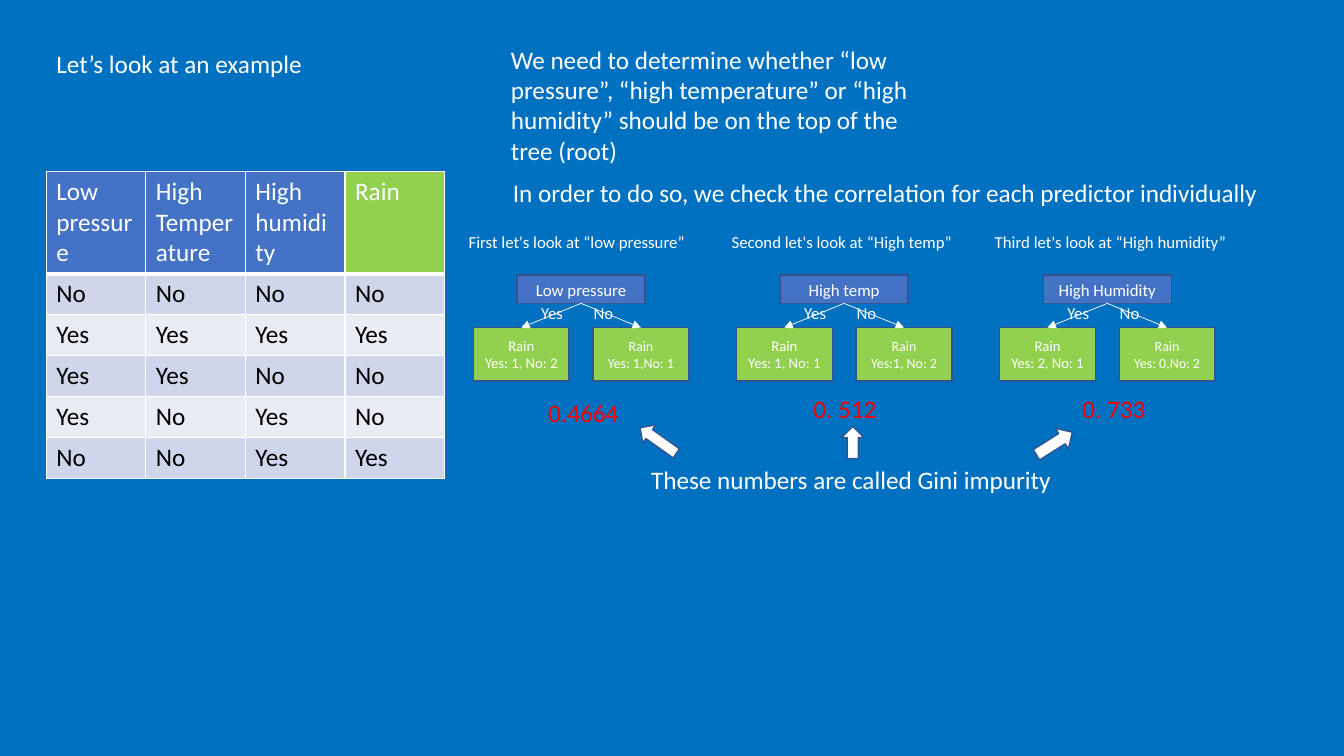
from dataclasses import dataclass
from typing import Any, NamedTuple

import pptx
import pptx.dml.color
import pptx.enum.shapes
import pptx.enum.text
import pptx.oxml
import pptx.oxml.ns
import pptx.util

Pt = pptx.util.Pt
RGB = pptx.dml.color.RGBColor.from_string
SHAPE = pptx.enum.shapes.MSO_SHAPE
ALIGN = pptx.enum.text.PP_ALIGN
ANCHOR = pptx.enum.text.MSO_ANCHOR

COLUMNS, ROWS = 40, 22.5
SLIDE_W, SLIDE_H = pptx.util.Inches(13.333), pptx.util.Inches(7.5)


@dataclass(frozen=True)
class Theme:
    font: str = "Calibri"
    back: str = "0070C0"
    white: str = "FFFFFF"
    black: str = "000000"
    red: str = "FF0000"
    node: str = "4472C4"
    leaf: str = "92D050"
    outline: str = "325491"
    bands: tuple[str, str] = ("CFD5EA", "E9EBF5")
    body: float = 18
    label: float = 12
    yes_leaf: float = 10.5
    no_leaf: float = 10


class Box(NamedTuple):
    col: float
    row: float
    cols: float
    rows: float

    def emu(self) -> tuple[int, int, int, int]:
        w, h = SLIDE_W / COLUMNS, SLIDE_H / ROWS
        return round(self.col * w), round(self.row * h), round(self.cols * w), round(self.rows * h)


class Note(NamedTuple):
    text: str
    box: Box
    color: str


class Tree(NamedTuple):
    heading: str
    root: str
    yes: str
    no: str


class Arrow(NamedTuple):
    box: Box
    rotation: float


THEME = Theme()

TITLE = Note("Let’s look at an example", Box(1.38, 1.29, 8.01, 1.2), THEME.white)
NOTES = [
    Note("We need to determine whether “low pressure”, “high temperature” or “high humidity” "
         "should be on the top of the tree (root)", Box(14.91, 1.17, 13.11, 3.93), THEME.white),
    Note("In order to do so, we check the correlation for each predictor individually",
         Box(14.97, 5.13, 23.64, 1.2), THEME.white),
    Note("0.4664", Box(16.02, 11.67, 2.85, 1.2), THEME.red),
    Note("0. 512", Box(23.91, 11.55, 2.85, 1.2), THEME.red),
    Note("0. 733", Box(31.92, 11.55, 2.85, 1.2), THEME.red),
    Note("These numbers are called Gini impurity", Box(19.08, 13.68, 12.66, 1.2), THEME.white),
]

TREES = [
    Tree("First let's look at “low pressure”", "Low pressure", "Yes: 1, No: 2", "Yes: 1,No: 1"),
    Tree("Second let's look at “High temp”", "High temp", "Yes: 1, No: 1", "Yes:1, No: 2"),
    Tree("Third let's look at “High humidity”", "High Humidity", "Yes: 2, No: 1", "Yes: 0,No: 2"),
]
FIRST_TREE, TREE_PITCH, LEAF_REACH = 17.3, 7.83, 1.78

ARROWS = [
    Arrow(Box(18.93, 12.78, 1.32, 0.66), 215.4),
    Arrow(Box(24.9, 12.84, 0.96, 0.66), 270),
    Arrow(Box(30.75, 12.84, 1.26, 0.72), 327.8),
]

TABLE_BOX = Box(1.38, 5.1, 11.85, 9.09)
HEADER_SHARE = 1 / 3
WEATHER = [
    ["Low pressure", "High Temperature", "High humidity", "Rain"],
    ["No", "No", "No", "No"],
    ["Yes", "Yes", "Yes", "Yes"],
    ["Yes", "Yes", "No", "No"],
    ["Yes", "No", "Yes", "No"],
    ["No", "No", "Yes", "Yes"],
]


def apply(obj: Any, values: dict[str, Any]) -> None:
    for name, value in values.items():
        setattr(obj, name, value)


def write(tf: Any, lines: list[str], size: float, color: str, align: Any = ALIGN.LEFT) -> None:
    for i, line in enumerate(lines):
        p = tf.paragraphs[0] if i == 0 else tf.add_paragraph()
        p.alignment = align
        r = p.add_run()
        r.text = line
        apply(r.font, {"name": THEME.font, "size": Pt(size), "bold": False})
        r.font.color.rgb = RGB(color)


def add_text(s: Any, text: str, box: Box, size: float, color: str) -> None:
    tf = s.shapes.add_textbox(*box.emu()).text_frame
    tf.word_wrap = True
    write(tf, [text], size, color)


def add_title(s: Any, note: Note) -> None:
    sp = s.shapes.title
    apply(sp, dict(zip(("left", "top", "width", "height"), note.box.emu())))
    tf = sp.text_frame
    apply(tf, {"word_wrap": True, "vertical_anchor": ANCHOR.TOP,
               "auto_size": pptx.enum.text.MSO_AUTO_SIZE.NONE})
    write(tf, [note.text], THEME.body, note.color)


def add_block(s: Any, kind: Any, box: Box, fill: str) -> Any:
    sp = s.shapes.add_shape(kind, *box.emu())
    sp.shadow.inherit = False
    sp.fill.solid()
    sp.fill.fore_color.rgb = RGB(fill)
    sp.line.color.rgb = RGB(THEME.outline)
    sp.line.width = Pt(1)
    return sp


def add_node(s: Any, box: Box, fill: str, lines: list[str], size: float) -> Any:
    sp = add_block(s, SHAPE.RECTANGLE, box, fill)
    apply(sp.text_frame, {"word_wrap": True, "vertical_anchor": ANCHOR.MIDDLE})
    write(sp.text_frame, lines, size, THEME.white, ALIGN.CENTER)
    return sp


def add_branch(s: Any, root: Any, leaf: Any) -> None:
    line = s.shapes.add_connector(pptx.enum.shapes.MSO_CONNECTOR.STRAIGHT, 0, 0, 0, 0)
    line.begin_connect(root, 2)
    line.end_connect(leaf, 0)
    line.line.color.rgb = RGB(THEME.white)
    line.line.width = Pt(0.5)
    ns = pptx.oxml.ns.nsdecls("a")
    ln = line.line._get_or_add_ln()
    ln.append(pptx.oxml.parse_xml(f'<a:tailEnd {ns} type="triangle"/>'))
    ln.addnext(pptx.oxml.parse_xml(f"<a:effectLst {ns}/>"))


def add_tree(s: Any, tree: Tree, center: float) -> None:
    root = add_node(s, Box(center - 1.91, 8.19, 3.81, 0.84), THEME.node, [tree.root], THEME.label)
    branches = [("Yes", tree.yes, -LEAF_REACH, -1.49, THEME.yes_leaf),
                ("No", tree.no, LEAF_REACH, 0.07, THEME.no_leaf)]
    for answer, counts, reach, label_at, size in branches:
        box = Box(center + reach - 1.43, 9.75, 2.85, 1.59)
        leaf = add_node(s, box, THEME.leaf, ["Rain", counts], size)
        add_branch(s, root, leaf)
        add_text(s, answer, Box(center + label_at, 8.85, 1.86, 0.9), THEME.label, THEME.white)
    add_text(s, tree.heading, Box(center - 3.65, 6.75, 8.04, 0.9), THEME.label, THEME.white)


def add_borders(cell: Any, bottom: float) -> None:
    tcPr = cell._tc.get_or_add_tcPr()
    for side, width in {"L": 1, "R": 1, "T": 1, "B": bottom}.items():
        tcPr.append(pptx.oxml.parse_xml(
            f'<a:ln{side} {pptx.oxml.ns.nsdecls("a")} w="{Pt(width)}"><a:solidFill>'
            f'<a:srgbClr val="{THEME.white}"/></a:solidFill></a:ln{side}>'))


def add_weather(s: Any) -> None:
    table = s.shapes.add_table(len(WEATHER), len(WEATHER[0]), *TABLE_BOX.emu()).table
    height = TABLE_BOX.emu()[3]
    for i, values in enumerate(WEATHER):
        share = HEADER_SHARE if i == 0 else (1 - HEADER_SHARE) / (len(WEATHER) - 1)
        table.rows[i].height = round(height * share)
        for j, value in enumerate(values):
            cell = table.cell(i, j)
            header = THEME.leaf if value == "Rain" else THEME.node
            add_borders(cell, 3 if i == 0 else 1)
            cell.fill.solid()
            cell.fill.fore_color.rgb = RGB(header if i == 0 else THEME.bands[(i - 1) % 2])
            write(cell.text_frame, [value], THEME.body, THEME.white if i == 0 else THEME.black)


def main() -> None:
    prs = pptx.Presentation()
    apply(prs, {"slide_width": SLIDE_W, "slide_height": SLIDE_H})
    s = prs.slides.add_slide(prs.slide_layouts.get_by_name("Title Only"))
    s.background.fill.solid()
    s.background.fill.fore_color.rgb = RGB(THEME.back)
    add_title(s, TITLE)
    add_weather(s)
    for i, tree in enumerate(TREES):
        add_tree(s, tree, FIRST_TREE + i * TREE_PITCH)
    for note in NOTES:
        add_text(s, note.text, note.box, THEME.body, note.color)
    for arrow in ARROWS:
        add_block(s, SHAPE.RIGHT_ARROW, arrow.box, THEME.white).rotation = arrow.rotation
    prs.save("out.pptx")


if __name__ == "__main__":
    main()
